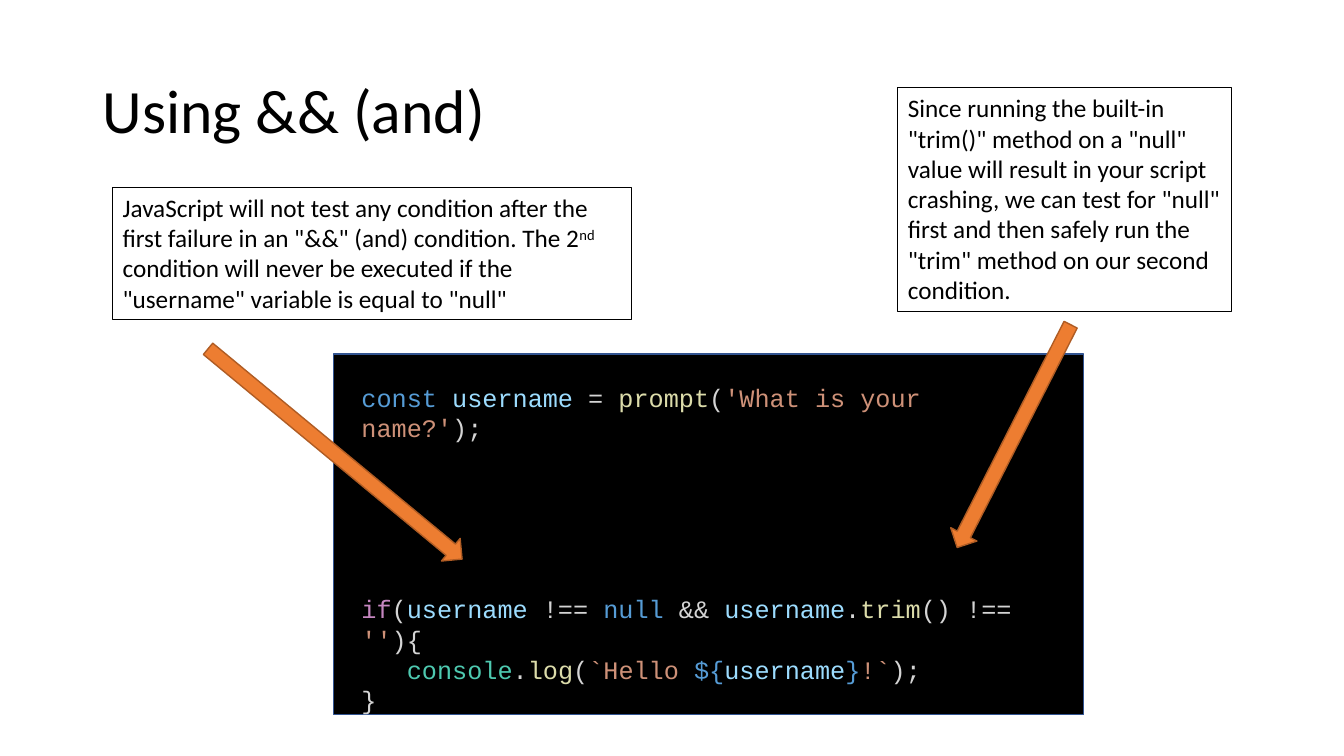
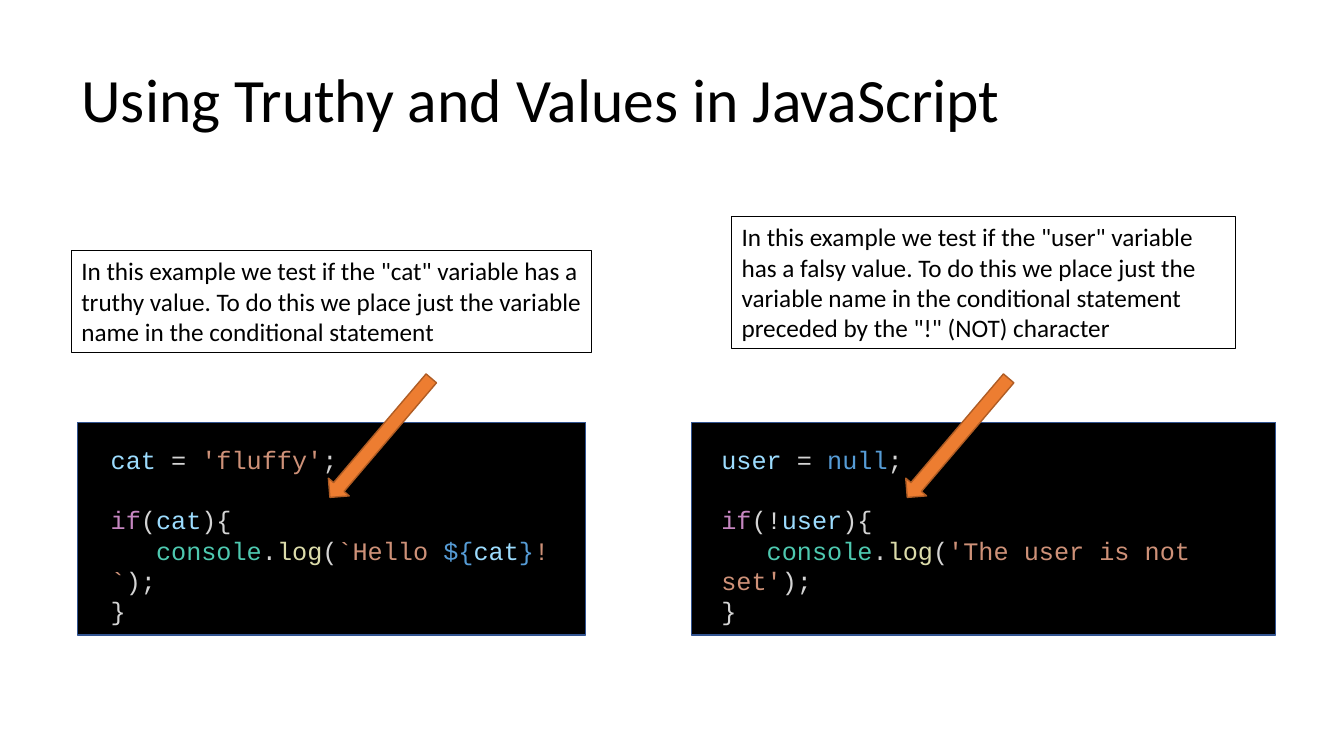
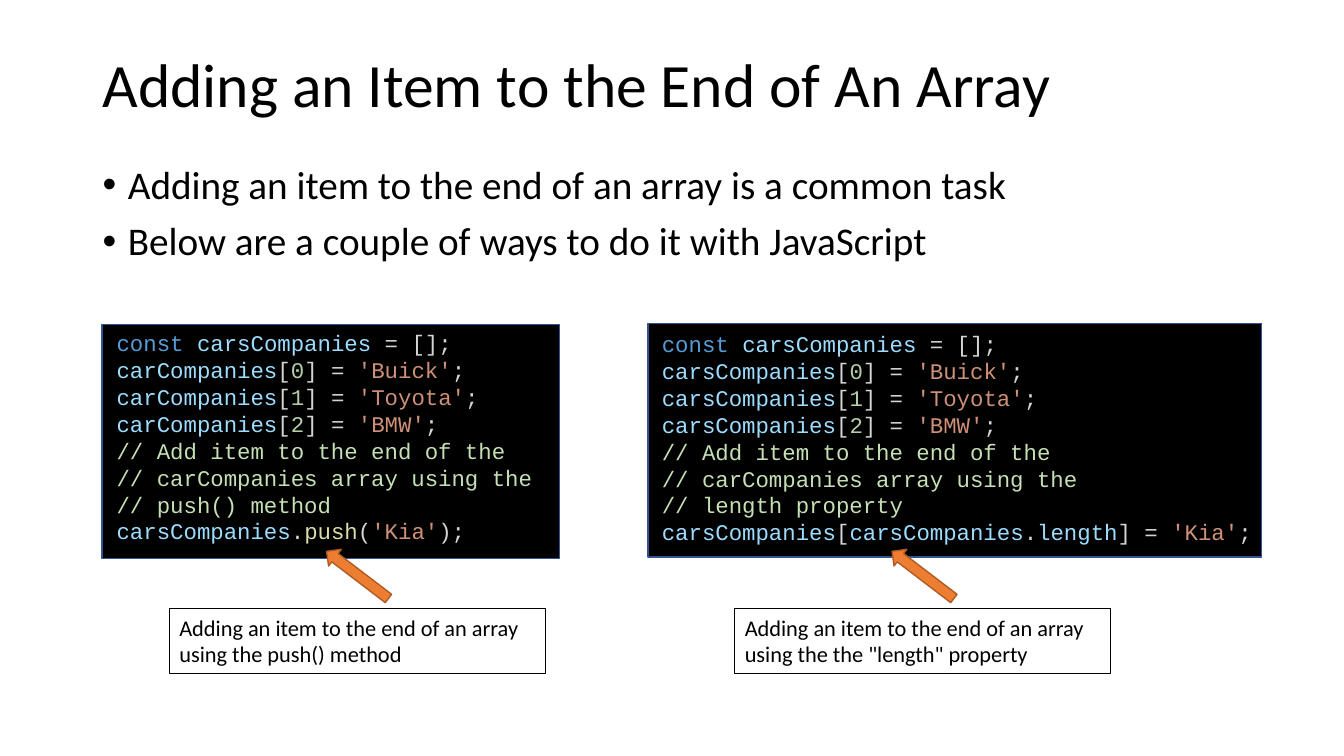
"""Build three slides on JavaScript conditions and arrays."""
from dataclasses import dataclass
from typing import NamedTuple

from lxml import etree
from pptx import Presentation
from pptx.dml.color import RGBColor
from pptx.enum import shapes, text
from pptx.oxml import ns
from pptx.util import Cm, Pt

BLACK = RGBColor(0x00, 0x00, 0x00)
WHITE = RGBColor(0xFF, 0xFF, 0xFF)
PANEL_EDGE = RGBColor(0x32, 0x54, 0x91)
ORANGE = RGBColor(0xED, 0x7D, 0x31)
ORANGE_EDGE = RGBColor(0xAF, 0x5C, 0x24)
KEYWORD = RGBColor(0x56, 0x9C, 0xD6)
VARIABLE = RGBColor(0x9C, 0xDC, 0xFE)
PLAIN = RGBColor(0xD4, 0xD4, 0xD4)
FUNCTION = RGBColor(0xDC, 0xDC, 0xAA)
STRING = RGBColor(0xCE, 0x91, 0x78)
CONTROL = RGBColor(0xC5, 0x86, 0xC0)
OBJECT = RGBColor(0x4E, 0xC9, 0xB0)
NUMBER = RGBColor(0xB5, 0xCE, 0xA8)
COMMENT = RGBColor(0xC5, 0xE0, 0xB4)

TEXT_FONT = "Calibri"
CODE_FONT = "Courier New"
CODE_LEADING = 1.2
TITLE_ONLY, TITLE_AND_BODY = 5, 1
CONTENT_LEFT, CONTENT_WIDTH, TITLE_HEIGHT = 2.33, 29.21, 3.68


class Area(NamedTuple):
    """Left, top, width and height in centimetres."""
    left: float
    top: float
    width: float
    height: float

    def lengths(self) -> list[Cm]:
        """Return the four values as lengths."""
        return [Cm(value) for value in self]


class Token(NamedTuple):
    """A coloured piece of code."""
    words: str
    colour: RGBColor


@dataclass(frozen=True)
class CodeLine:
    """One code statement and the number of empty lines above it."""
    tokens: tuple[Token, ...]
    gap: int = 0


@dataclass(frozen=True)
class Listing:
    """A dark panel with code over it."""
    panel: Area
    area: Area
    lines: tuple[CodeLine, ...]
    size: int = 18


@dataclass(frozen=True)
class Note:
    """A framed remark, with an optional superscript and the words after it."""
    area: Area
    words: str
    raised: str = ""
    rest: str = ""
    size: int = 18


@dataclass(frozen=True)
class Arrow:
    """A turned block arrow."""
    area: Area
    angle: float


@dataclass(frozen=True)
class Page:
    """Everything on one slide."""
    title: str
    title_left: float
    title_top: float
    listings: tuple[Listing, ...]
    notes: tuple[Note, ...]
    arrows: tuple[Arrow, ...]
    bullets: tuple[str, ...] = ()


def line(*parts: tuple[str, RGBColor], gap: int = 0) -> CodeLine:
    """Make a code line from pairs of words and colour."""
    return CodeLine(tuple(Token(*part) for part in parts), gap)


def log_line(*message: tuple[str, RGBColor]) -> CodeLine:
    """Make an indented console.log call."""
    return line(("   console", OBJECT), (".", PLAIN), ("log", FUNCTION),
                ("(", PLAIN), *message, (");", PLAIN))


def greeting_line(variable: str) -> CodeLine:
    """Make a console.log call that greets a variable."""
    return log_line(("`Hello ", STRING), ("${", KEYWORD), (variable, VARIABLE),
                    ("}", KEYWORD), ("!`", STRING))


def array_lines(array: str, method: str, ending: CodeLine) -> tuple[CodeLine, ...]:
    """Make the array example that ends with the given statement."""
    items = [line((array, VARIABLE), ("[", PLAIN), (str(index), NUMBER),
                  ("] = ", PLAIN), (f"'{item}'", STRING), (";", PLAIN))
             for index, item in enumerate(("Buick", "Toyota", "BMW"))]
    remarks = [line((f"// {words}", COMMENT))
               for words in ("Add item to the end of the",
                             "carCompanies array using the", method)]
    return (line(("const ", KEYWORD), ("carsCompanies", VARIABLE), (" = [];", PLAIN)),
            *items, *remarks, ending)


CLOSING = line(("}", PLAIN))

AND_CODE = (
    line(("const ", KEYWORD), ("username", VARIABLE), (" = ", PLAIN),
         ("prompt", FUNCTION), ("(", PLAIN), ("'What is your name?'", STRING),
         (");", PLAIN)),
    line(("if", CONTROL), ("(", PLAIN), ("username", VARIABLE), (" !== ", PLAIN),
         ("null", KEYWORD), (" && ", PLAIN), ("username", VARIABLE), (".", PLAIN),
         ("trim", FUNCTION), ("() !== ", PLAIN), ("''", STRING), ("){", PLAIN), gap=5),
    greeting_line("username"),
    CLOSING,
)
TRUTHY_CODE = (
    line(("cat", VARIABLE), (" = ", PLAIN), ("'fluffy'", STRING), (";", PLAIN)),
    line(("if", CONTROL), ("(", PLAIN), ("cat", VARIABLE), ("){", PLAIN), gap=1),
    greeting_line("cat"),
    CLOSING,
)
FALSY_CODE = (
    line(("user", VARIABLE), (" = ", PLAIN), ("null", KEYWORD), (";", PLAIN)),
    line(("if", CONTROL), ("(!", PLAIN), ("user", VARIABLE), ("){", PLAIN), gap=1),
    log_line(("'The user is not set'", STRING)),
    CLOSING,
)
PUSH_CODE = array_lines(
    "carCompanies", "push() method",
    line(("carsCompanies", VARIABLE), (".", PLAIN), ("push", FUNCTION),
         ("(", PLAIN), ("'Kia'", STRING), (");", PLAIN)))
LENGTH_CODE = array_lines(
    "carsCompanies", "length property",
    line(("carsCompanies", VARIABLE), ("[", PLAIN), ("carsCompanies", VARIABLE),
         (".", PLAIN), ("length", VARIABLE), ("] = ", PLAIN), ("'Kia'", STRING),
         (";", PLAIN)))

PAGES = (
    Page(
        "Using && (and)", CONTENT_LEFT, 1.02,
        listings=(Listing(Area(8.41, 8.92, 18.9, 9.09),
                          Area(8.86, 9.5, 17.96, 7.19), AND_CODE),),
        notes=(
            Note(Area(22.63, 2.21, 8.4, 5.64),
                 'Since running the built-in "trim()" method on a "null" value will '
                 'result in your script crashing, we can test for "null" first and '
                 'then safely run the "trim" method on our second condition.'),
            Note(Area(2.84, 4.72, 13.08, 3.33),
                 'JavaScript will not test any condition after the first failure in '
                 'an "&&" (and) condition. The 2', "nd",
                 ' condition will never be executed if the "username" variable is '
                 'equal to "null"'),
        ),
        arrows=(Arrow(Area(22.4, 10.62, 6.3, 0.74), 117),
                Arrow(Area(4.29, 11.07, 8.31, 0.74), 39.6)),
    ),
    Page(
        "Using Truthy and Values in JavaScript", 1.8, 0.74,
        listings=(Listing(Area(1.96, 10.64, 12.8, 5.36),
                          Area(2.54, 11.07, 12.12, 4.11), TRUTHY_CODE),
                  Listing(Area(17.42, 10.64, 14.73, 5.36),
                          Area(17.93, 11.07, 14.45, 4.11), FALSY_CODE)),
        notes=(
            Note(Area(1.8, 6.32, 13.11, 2.57),
                 'In this example we test if the "cat" variable has a truthy value. '
                 'To do this we place just the variable name in the conditional '
                 'statement'),
            Note(Area(18.44, 5.46, 12.7, 3.33),
                 'In this example we test if the "user" variable has a falsy value. '
                 'To do this we place just the variable name in the conditional '
                 'statement preceded by the "!" (NOT) character'),
        ),
        arrows=tuple(Arrow(Area(left, 10.69, 3.94, 0.69), 130.4)
                     for left in (7.62, 22.17)),
    ),
    Page(
        "Adding an Item to the End of An Array", CONTENT_LEFT, 0.36,
        bullets=("Adding an item to the end of an array is a common task",
                 "Below are a couple of ways to do it with JavaScript"),
        listings=(Listing(Area(2.57, 8.18, 11.53, 5.89),
                          Area(2.69, 8.18, 11.4, 5.89), PUSH_CODE, 16),
                  Listing(Area(16.33, 8.15, 15.47, 5.89),
                          Area(16.43, 8.2, 16.94, 5.74), LENGTH_CODE, 16)),
        notes=tuple(
            Note(Area(left, 15.34, 9.47, 1.63),
                 f"Adding an item to the end of an array using the {way}", size=16)
            for left, way in ((4.27, "push() method"),
                              (18.52, 'the "length" property'))),
        arrows=tuple(Arrow(Area(left, 14.22, 1.96, 0.53), 217.3)
                     for left in (8.03, 22.28)),
    ),
)


def style(font, name: str, size: float, colour: RGBColor) -> None:
    """Set the face, size and colour of a font."""
    font.name = name
    font.size = Pt(size)
    font.color.rgb = colour


def place(box, area: Area) -> None:
    """Move a placeholder to an area."""
    box.left, box.top, box.width, box.height = area.lengths()


def add_block(slide, kind, area: Area, fill: RGBColor, edge: RGBColor, weight: float):
    """Add a flat preset shape."""
    block = slide.shapes.add_shape(kind, *area.lengths())
    block.shadow.inherit = False
    block.fill.solid()
    block.fill.fore_color.rgb = fill
    block.line.color.rgb = edge
    block.line.width = Pt(weight)
    return block


def add_title(slide, page: Page) -> None:
    """Fill and format the title placeholder."""
    box = slide.shapes.title
    place(box, Area(page.title_left, page.title_top, CONTENT_WIDTH, TITLE_HEIGHT))
    frame = box.text_frame
    frame.text = page.title
    frame.auto_size = text.MSO_AUTO_SIZE.NONE
    frame.vertical_anchor = text.MSO_ANCHOR.MIDDLE
    para = frame.paragraphs[0]
    para.alignment = text.PP_ALIGN.LEFT
    para.line_spacing = 0.9
    style(para.runs[0].font, TEXT_FONT, 44, BLACK)


def add_bullets(slide, bullets: tuple[str, ...]) -> None:
    """Fill and format the body placeholder."""
    box = slide.placeholders[1]
    place(box, Area(CONTENT_LEFT, 4.04, CONTENT_WIDTH, 3.25))
    frame = box.text_frame
    frame.text = "\n".join(bullets)
    frame.auto_size = text.MSO_AUTO_SIZE.NONE
    for index, para in enumerate(frame.paragraphs):
        para.line_spacing = 0.9
        para.space_before = Pt(10 if index else 0)
        properties = para._p.get_or_add_pPr()
        properties.set("marL", str(Cm(0.64)))
        properties.set("indent", str(-Cm(0.64)))
        face = etree.SubElement(properties, ns.qn("a:buFont"))
        face.set("typeface", "Arial")
        mark = etree.SubElement(properties, ns.qn("a:buChar"))
        mark.set("char", "•")
        style(para.runs[0].font, TEXT_FONT, 28, BLACK)


def add_listing(slide, listing: Listing) -> None:
    """Add a dark panel and its coloured code."""
    add_block(slide, shapes.MSO_SHAPE.RECTANGLE, listing.panel, BLACK, PANEL_EDGE, 1)
    frame = slide.shapes.add_textbox(*listing.area.lengths()).text_frame
    frame.word_wrap = True
    leading = listing.size * CODE_LEADING
    for index, code in enumerate(listing.lines):
        para = frame.add_paragraph() if index else frame.paragraphs[0]
        para.line_spacing = Pt(leading)
        if code.gap:
            para.space_before = Pt(code.gap * leading)
        for token in code.tokens:
            span = para.add_run()
            span.text = token.words
            style(span.font, CODE_FONT, listing.size, token.colour)


def add_note(slide, note: Note) -> None:
    """Add a framed remark."""
    box = add_block(slide, shapes.MSO_SHAPE.RECTANGLE, note.area, WHITE, BLACK, 0.75)
    frame = box.text_frame
    frame.word_wrap = True
    frame.vertical_anchor = text.MSO_ANCHOR.TOP
    para = frame.paragraphs[0]
    para.alignment = text.PP_ALIGN.LEFT
    for words in filter(None, (note.words, note.raised, note.rest)):
        span = para.add_run()
        span.text = words
        style(span.font, TEXT_FONT, note.size, BLACK)
        if words == note.raised:
            span._r.get_or_add_rPr().set("baseline", "30000")


def add_arrow(slide, arrow: Arrow) -> None:
    """Add a turned orange arrow."""
    block = add_block(slide, shapes.MSO_SHAPE.RIGHT_ARROW, arrow.area,
                      ORANGE, ORANGE_EDGE, 1)
    block.rotation = arrow.angle


def add_page(deck, page: Page) -> None:
    """Add one slide with all its parts."""
    layout = TITLE_AND_BODY if page.bullets else TITLE_ONLY
    slide = deck.slides.add_slide(deck.slide_layouts[layout])
    add_title(slide, page)
    if page.bullets:
        add_bullets(slide, page.bullets)
    for listing in page.listings:
        add_listing(slide, listing)
    for note in page.notes:
        add_note(slide, note)
    for arrow in page.arrows:
        add_arrow(slide, arrow)


def main() -> None:
    """Build and save the deck."""
    deck = Presentation()
    deck.slide_width, deck.slide_height = Cm(33.87), Cm(19.05)
    for page in PAGES:
        add_page(deck, page)
    deck.save("out.pptx")


if __name__ == "__main__":
    main()
